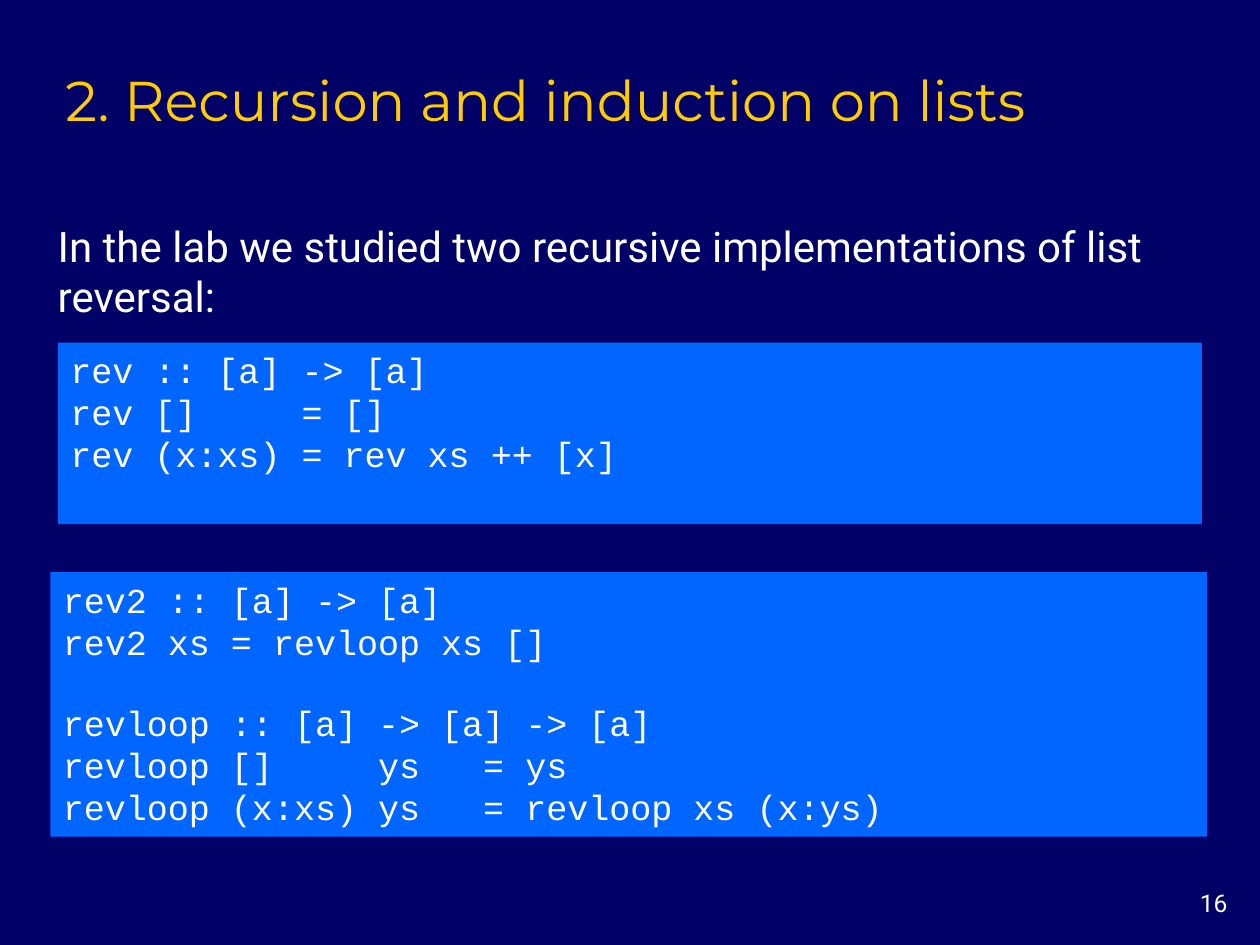
import pptx
import pptx.dml.color
import pptx.enum.shapes
import pptx.enum.text
import pptx.util

Inches, Pt = pptx.util.Inches, pptx.util.Pt
RGBColor = pptx.dml.color.RGBColor
Align = pptx.enum.text.PP_ALIGN
Anchor = pptx.enum.text.MSO_ANCHOR

NAVY = RGBColor(0x00, 0x00, 0x66)
BLUE = RGBColor(0x00, 0x66, 0xFF)
GOLD = RGBColor(0xFF, 0xCC, 0x00)
WHITE = RGBColor(0xFF, 0xFF, 0xFF)

TITLE = "2. Recursion and induction on lists"
INTRO = "In the lab we studied two recursive implementations of list reversal:"
PAGE_NUMBER = "16"

# Each listing: place, then groups of lines set apart by one line of space
LISTINGS = [
    ((0.46, 2.72, 9.08, 1.44), [
        ["rev :: [a] -> [a]",
         "rev []     = []",
         "rev (x:xs) = rev xs ++ [x]"],
    ]),
    ((0.4, 4.54, 9.18, 2.1), [
        ["rev2 :: [a] -> [a]",
         "rev2 xs = revloop xs []"],
        ["revloop :: [a] -> [a] -> [a]",
         "revloop []     ys   = ys",
         "revloop (x:xs) ys   = revloop xs (x:ys)"],
    ]),
]
CODE_SIZE = 20
CODE_LINE = Pt(22.66)  # height of one line of code


def style(paragraph, font, size, color, align=Align.LEFT):
    paragraph.alignment = align
    paragraph.font.name = font
    paragraph.font.size = Pt(size)
    paragraph.font.color.rgb = color


def add_text(page, place, text, font, size, color, align=Align.LEFT, anchor=Anchor.TOP):
    frame = page.shapes.add_textbox(*map(Inches, place)).text_frame
    frame.word_wrap = True
    frame.vertical_anchor = anchor
    frame.text = text
    style(frame.paragraphs[0], font, size, color, align)


def add_listing(page, place, groups):
    box = page.shapes.add_shape(
        pptx.enum.shapes.MSO_SHAPE.RECTANGLE, *map(Inches, place))
    box.shadow.inherit = False
    box.fill.solid()
    box.fill.fore_color.rgb = BLUE
    box.line.fill.background()
    frame = box.text_frame
    frame.word_wrap = True
    frame.vertical_anchor = Anchor.TOP
    frame.text = "\n".join(line for group in groups for line in group)
    for paragraph in frame.paragraphs:
        style(paragraph, "Courier New", CODE_SIZE, WHITE)
    start = 0
    for group in groups[:-1]:
        start += len(group)
        frame.paragraphs[start].space_before = CODE_LINE


def main():
    deck = pptx.Presentation()
    deck.slide_width, deck.slide_height = Inches(10), Inches(7.5)
    page = deck.slides.add_slide(deck.slide_layouts[6])
    page.background.fill.solid()
    page.background.fill.fore_color.rgb = NAVY

    add_text(page, (9.17, 7, 0.67, 0.33), PAGE_NUMBER, "Roboto", 14, WHITE, align=Align.RIGHT)
    add_text(page, (0.42, 0.1, 9.03, 1), TITLE, "Montserrat", 32, GOLD, anchor=Anchor.BOTTOM)
    add_text(page, (0.36, 1.7, 8.99, 1.7), INTRO, "Roboto", 24, WHITE)
    for place, groups in LISTINGS:
        add_listing(page, place, groups)
    deck.save("out.pptx")


if __name__ == "__main__":
    main()
